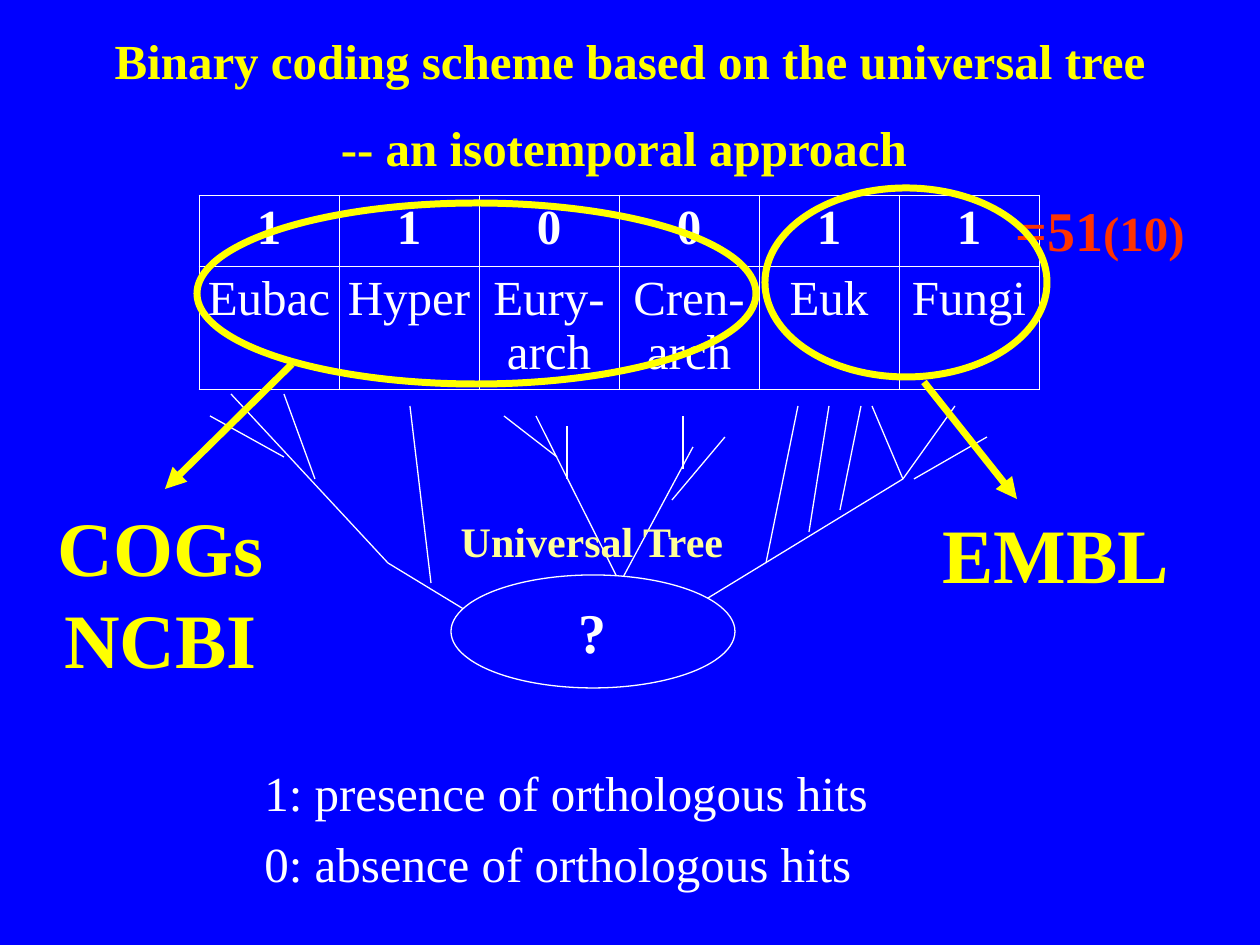
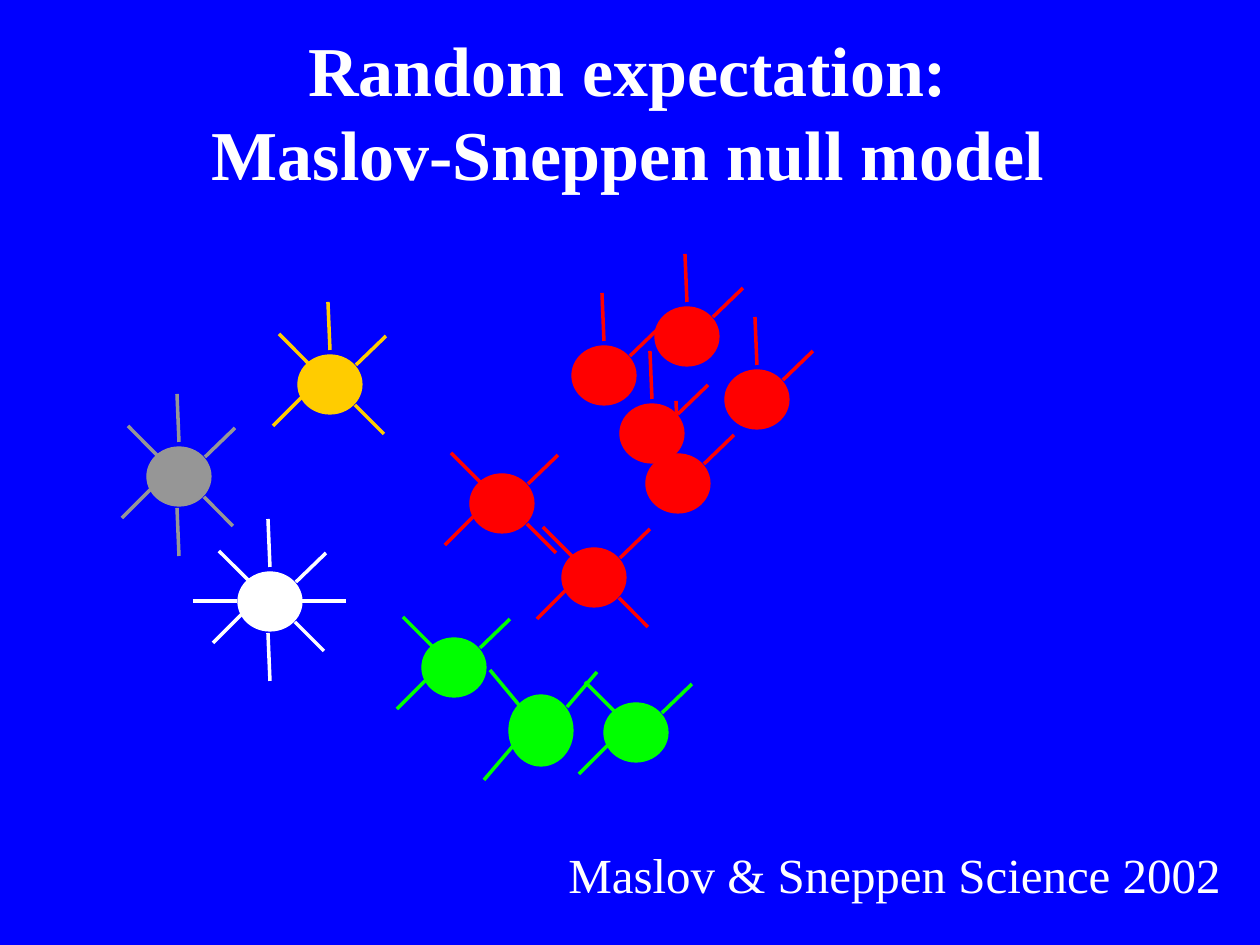
"""Build two slides: a binary coding scheme on the universal tree and a null model."""
import pptx
import pptx.dml.color
import pptx.enum.shapes
import pptx.enum.text
import pptx.oxml
import pptx.oxml.ns
import pptx.util
from lxml import etree

RGB = pptx.dml.color.RGBColor
BLUE = RGB(0x00, 0x00, 0xFF)
WHITE = RGB(0xFF, 0xFF, 0xFF)
YELLOW = RGB(0xFF, 0xFF, 0x00)
PALE_YELLOW = RGB(0xFF, 0xFF, 0x99)
ORANGE = RGB(0xFF, 0x33, 0x00)
GOLD = RGB(0xFF, 0xCC, 0x00)
RED = RGB(0xFF, 0x00, 0x00)
GREEN = RGB(0x00, 0xFF, 0x00)
GREY = RGB(0x96, 0x96, 0x96)
FONT = "Times New Roman"
PX = 7257
Pt = pptx.util.Pt
qn = pptx.oxml.ns.qn
OVAL = pptx.enum.shapes.MSO_SHAPE.OVAL
STRAIGHT = pptx.enum.shapes.MSO_CONNECTOR.STRAIGHT
MIDDLE = pptx.enum.text.MSO_ANCHOR.MIDDLE
NO_FIT = pptx.enum.text.MSO_AUTO_SIZE.NONE
GROW = pptx.enum.text.MSO_AUTO_SIZE.SHAPE_TO_FIT_TEXT
CENTER = pptx.enum.text.PP_ALIGN.CENTER
LEFT = pptx.enum.text.PP_ALIGN.LEFT


def write(tf, paragraphs, color, bold=True, align=CENTER, before=0):
    """Fill a text frame with paragraphs, each a list of (text, size) runs."""
    for i, runs in enumerate(paragraphs):
        p = tf.add_paragraph() if i else tf.paragraphs[0]
        p.alignment = align
        p.space_before = Pt(before if i else 0)
        for text, size in runs:
            if text == "\n":
                p.add_line_break()
                continue
            r = p.add_run()
            r.text = text
            r.font.name = FONT
            r.font.size = Pt(size)
            r.font.bold = bold
            r.font.color.rgb = color


def add_line(shapes, ends, color, width, arrow=False):
    """Draw a straight line between two points given in px."""
    sp = shapes.add_connector(STRAIGHT, *[v * PX for v in ends])
    sp.line.color.rgb = color
    sp.line.width = Pt(width)
    if arrow:
        etree.SubElement(sp.line._get_or_add_ln(), qn("a:tailEnd"), type="triangle")
    etree.SubElement(sp._element.spPr, qn("a:effectLst"))


prs = pptx.Presentation()
prs.slide_width = 1260 * PX
prs.slide_height = 945 * PX
fill = prs.slide_master.background.fill
fill.solid()
fill.fore_color.rgb = BLUE

titles = [
    ((0, 28, 1260, 151), YELLOW, 16,
     [[("Binary coding scheme based on the universal tree", 28)],
      [("-- an isotemporal approach ", 28)]]),
    ((69, 53, 1135, 116), WHITE, 0,
     [[("Random expectation: ", 40), ("\n", 40), ("Maslov-Sneppen null model ", 40)]]),
]
for box, color, before, paragraphs in titles:
    s = prs.slides.add_slide(prs.slide_layouts[5])
    sp = s.shapes.title
    sp.left, sp.top, sp.width, sp.height = [v * PX for v in box]
    sp.text_frame.auto_size = NO_FIT
    sp.text_frame.vertical_anchor = MIDDLE
    write(sp.text_frame, paragraphs, color, before=before)

s = prs.slides[0]
sp = s.shapes.add_textbox(*[v * PX for v in (252, 756, 798, 147)])
sp.text_frame.word_wrap = True
write(sp.text_frame,
      [[("1: presence of orthologous hits", 28)], [("0: absence of orthologous hits", 28)]],
      WHITE, bold=False, align=LEFT, before=7)

rows = [
    ["1", "1", "0", "0", "1", "1"],
    ["Eubac", "Hyper", "Eury-arch", "Cren-arch", "Euk", "Fungi"],
]
table = s.shapes.add_table(2, 6, *[v * PX for v in (199, 195, 840, 192)]).table
table.first_row = False
table.horz_banding = False
for column in table.columns:
    column.width = 140 * PX
for row, height in zip(table.rows, (71, 121)):
    row.height = height * PX
for i, texts in enumerate(rows):
    for j, text in enumerate(texts):
        cell = table.cell(i, j)
        cell.margin_left = cell.margin_right = cell.margin_top = 6 * PX
        cell.margin_bottom = 0
        write(cell.text_frame, [[(text, 28)]], WHITE, bold=i == 0)
        tcPr = cell._tc.get_or_add_tcPr()
        for side in ("a:lnL", "a:lnR", "a:lnT", "a:lnB"):
            ln = etree.SubElement(tcPr, qn(side), w=str(Pt(0.45)))
            solid = etree.SubElement(ln, qn("a:solidFill"))
            etree.SubElement(solid, qn("a:srgbClr"), val=str(WHITE))
        cell.fill.background()

branches = [
    (231, 394, 388, 563), (388, 563, 577, 678), (431, 583, 410, 406),
    (284, 394, 315, 479), (284, 457, 210, 416), (577, 678, 620, 583),
    (620, 583, 536, 416), (620, 583, 693, 447), (672, 500, 725, 437),
    (683, 469, 683, 416), (567, 479, 567, 426), (557, 457, 504, 416),
    (577, 678, 903, 479), (903, 479, 955, 406), (903, 479, 872, 406),
    (809, 532, 829, 406), (766, 563, 798, 406), (840, 510, 861, 406),
    (914, 479, 987, 437),
]
for ends in branches:
    add_line(s.shapes, ends, WHITE, 0.75)

sp = s.shapes.add_shape(OVAL, *[v * PX for v in (451, 575, 284, 113)])
sp.shadow.inherit = False
sp.fill.solid()
sp.fill.fore_color.rgb = BLUE
sp.line.color.rgb = WHITE
sp.line.width = Pt(0.75)
sp.text_frame.vertical_anchor = MIDDLE
write(sp.text_frame, [[("?", 32)]], WHITE)

labels = [
    ((1001, 189, 198, 81), ORANGE, [("=51", 32), ("(10)", 28)]),
    ((446, 509, 292, 63), PALE_YELLOW, [("Universal Tree", 24)]),
]
for box, color, runs in labels:
    sp = s.shapes.add_textbox(*[v * PX for v in box])
    sp.text_frame.word_wrap = False
    sp.text_frame.auto_size = GROW
    write(sp.text_frame, [runs], color)

sources = [
    ((197, 203, 559, 181), (292, 364, 165, 489), (45, 493, 231, 198), ["COGs", "NCBI"]),
    ((765, 188, 282, 189), (924, 382, 1017, 499), (930, 500, 252, 106), ["EMBL"]),
]
for ring, arrow, box, names in sources:
    group = s.shapes.add_group_shape()
    sp = group.shapes.add_shape(OVAL, *[v * PX for v in ring])
    sp.shadow.inherit = False
    sp.fill.background()
    sp.line.color.rgb = YELLOW
    sp.line.width = Pt(4)
    add_line(group.shapes, arrow, YELLOW, 4, arrow=True)
    sp = group.shapes.add_textbox(*[v * PX for v in box])
    sp.text_frame.word_wrap = False
    sp.text_frame.auto_size = GROW
    write(sp.text_frame, [[(name, 44)] for name in names], YELLOW)

s = prs.slides[1]
NODE_WIDTH, NODE_HEIGHT = 64, 59
spokes = {
    "NE": (58, 10, 88, -19), "SE": (57, 50, 86, 79),
    "SW": (-25, 71, 4, 42), "NW": (-19, -21, 10, 8),
    "N": (32, -5, 30, -53), "S": (32, 109, 30, 61),
    "W": (-45, 29, -1, 29), "E": (64, 29, 108, 29),
}
nodes = [
    (298, 355, NODE_HEIGHT, GOLD, "NE SE SW NW N"),
    (470, 474, NODE_HEIGHT, RED, "NE SE SW NW"),
    (422, 638, NODE_HEIGHT, GREEN, "NE SW NW"),
    (572, 346, NODE_HEIGHT, RED, "NE N"),
    (147, 447, NODE_HEIGHT, GREY, "NE SE SW NW S N"),
    (238, 572, NODE_HEIGHT, WHITE, "NE SE SW NW S N W E"),
    (620, 404, NODE_HEIGHT, RED, "NE N"),
    (725, 370, NODE_HEIGHT, RED, "NE N"),
    (509, 695, 71, GREEN, "NE SW NW"),
    (604, 703, NODE_HEIGHT, GREEN, "NE SW NW"),
    (562, 548, NODE_HEIGHT, RED, "NE SE SW NW"),
    (655, 307, NODE_HEIGHT, RED, "NE N"),
    (646, 454, NODE_HEIGHT, RED, "NE N"),
]
for left, top, height, color, directions in nodes:
    group = s.shapes.add_group_shape()
    sp = group.shapes.add_shape(OVAL, left * PX, top * PX, NODE_WIDTH * PX, height * PX)
    sp.shadow.inherit = False
    sp.fill.solid()
    sp.fill.fore_color.rgb = color
    sp.line.color.rgb = color
    sp.line.width = Pt(0.75)
    for direction in directions.split():
        x1, y1, x2, y2 = spokes[direction]
        y1, y2 = [round(y * height / NODE_HEIGHT) for y in (y1, y2)]
        add_line(group.shapes, (left + x1, top + y1, left + x2, top + y2), color, 2)

sp = s.shapes.add_textbox(*[v * PX for v in (556, 838, 680, 72)])
sp.text_frame.word_wrap = False
sp.text_frame.auto_size = GROW
write(sp.text_frame, [[("Maslov & Sneppen Science 2002", 28)]], WHITE, bold=False, align=LEFT)

prs.save("out.pptx")
